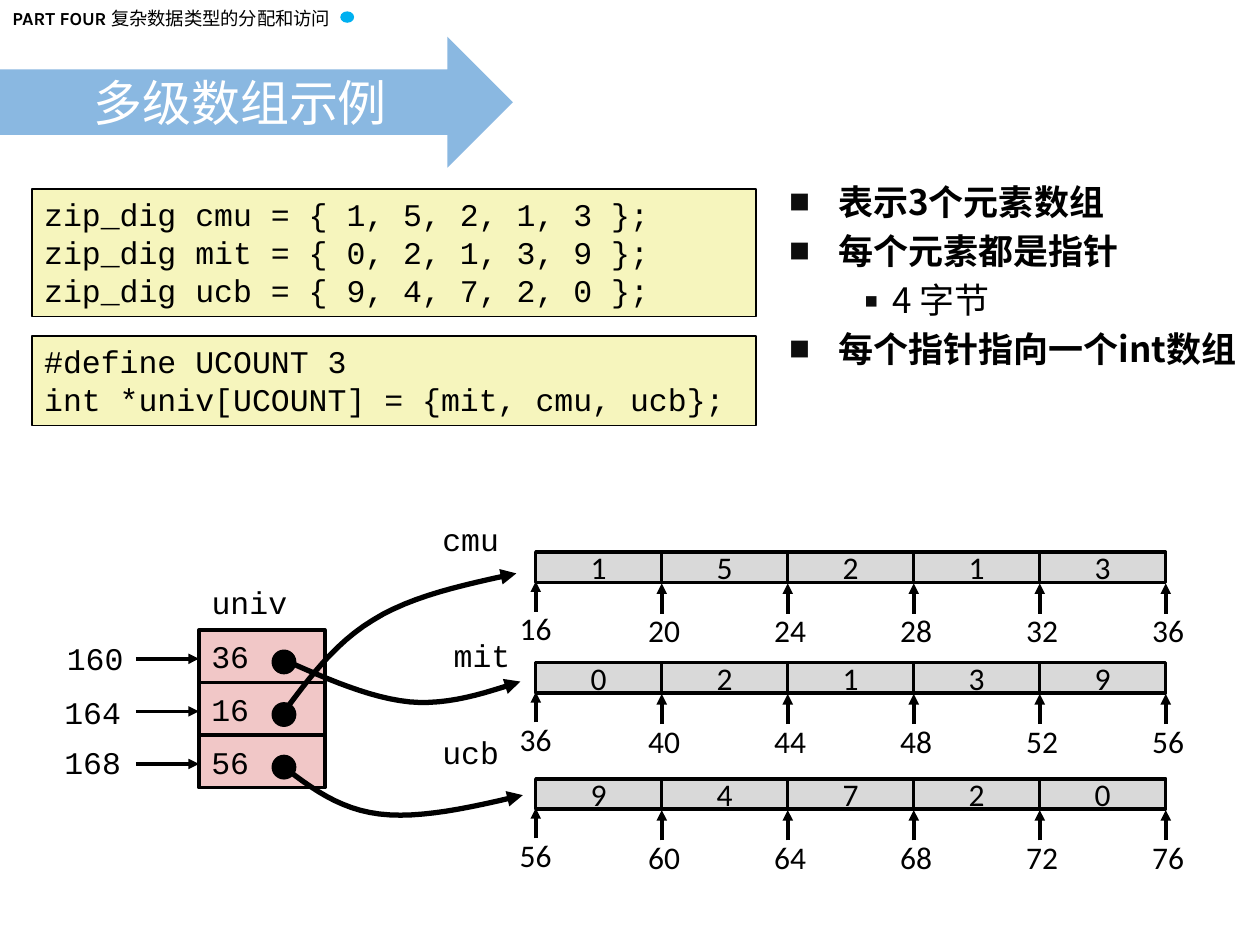
"""Build the slide on multi-level arrays: code, key points and a memory diagram."""
from lxml import etree
from pptx import Presentation
from pptx.dml.color import RGBColor
from pptx.enum.shapes import MSO_CONNECTOR, MSO_SHAPE
from pptx.enum.text import MSO_ANCHOR, MSO_AUTO_SIZE, PP_ALIGN
from pptx.oxml.ns import qn
from pptx.util import Cm, Pt

RECT, OVAL, RIGHT_ARROW = MSO_SHAPE.RECTANGLE, MSO_SHAPE.OVAL, MSO_SHAPE.RIGHT_ARROW
STRAIGHT = MSO_CONNECTOR.STRAIGHT
LEFT, CENTER, RIGHT = PP_ALIGN.LEFT, PP_ALIGN.CENTER, PP_ALIGN.RIGHT
TOP, MIDDLE = MSO_ANCHOR.TOP, MSO_ANCHOR.MIDDLE
NO_FIT = MSO_AUTO_SIZE.NONE

BLACK = RGBColor(0x00, 0x00, 0x00)
WHITE = RGBColor(0xFF, 0xFF, 0xFF)
SKY = RGBColor(0x00, 0xB0, 0xF0)
BLUE = RGBColor(0x5B, 0x9B, 0xD5)
CREAM = RGBColor(0xF6, 0xF5, 0xBD)
PINK = RGBColor(0xF1, 0xC7, 0xC7)
GREY = RGBColor(0xD9, 0xD9, 0xD9)

CJK = "Noto Sans CJK SC"
CODE = {"name": "Courier New", "size": Pt(18)}
DIGIT = {"name": "Calibri", "size": Pt(18)}
HEADER = {"name": "Karla", "size": Pt(10.5), "bold": True}
HEADER_CJK = {"name": CJK, "size": Pt(10.5), "bold": False}
TITLE = {"name": "Karla", "size": Pt(28), "bold": False}
POINT = {"name": CJK, "size": Pt(20), "bold": True}
SUBPOINT = {"name": CJK, "size": Pt(20), "bold": False}


def write(p, text, style, align=LEFT, color=BLACK):
    p.alignment = align
    r = p.add_run()
    r.text = text
    for key, value in style.items():
        setattr(r.font, key, value)
    r.font.color.rgb = color
    etree.SubElement(r.font._element, qn("a:ea"), typeface=CJK)


def add_box(kind, x, y, w, h, fill=None, line=None, wrap=False, anchor=TOP):
    if kind is None:
        sp = s.shapes.add_textbox(Cm(x), Cm(y), Cm(w), Cm(h))
    else:
        sp = s.shapes.add_shape(kind, Cm(x), Cm(y), Cm(w), Cm(h))
        sp.shadow.inherit = False
        sp.fill.solid()
        sp.fill.fore_color.rgb = fill
        if line:
            sp.line.color.rgb = BLACK
            sp.line.width = Pt(line)
        else:
            sp.line.fill.background()
    sp.text_frame.word_wrap = wrap
    sp.text_frame.vertical_anchor = anchor
    return sp


prs = Presentation()
prs.slide_width, prs.slide_height = Cm(25.4), Cm(19.05)
s = prs.slides.add_slide(prs.slide_layouts[1])
arrows = []

p = add_box(None, 0, 0.03, 7.09, 0.71).text_frame.paragraphs[0]
write(p, "PART FOUR ", HEADER)
write(p, "复杂数据类型的分配和访问", HEADER_CJK)
add_box(OVAL, 6.86, 0.23, 0.28, 0.23, SKY)

banner = add_box(RIGHT_ARROW, 0, 0.74, 10.34, 2.64, BLUE)
color = banner.element.spPr.find(".//" + qn("a:srgbClr"))
etree.SubElement(color, qn("a:alpha"), val="71000")

title, body = s.shapes.title, s.placeholders[1]
for sp, x, y, w, h, anchor in [
    (title, 0, 1.4, 9.68, 1.32, MIDDLE),
    (body, 15.67, 3.51, 9.73, 6.35, TOP),
]:
    sp.left, sp.top, sp.width, sp.height = Cm(x), Cm(y), Cm(w), Cm(h)
    sp.text_frame.vertical_anchor = anchor
    sp.text_frame.auto_size = NO_FIT
    s.shapes.element.append(sp.element)
write(title.text_frame.paragraphs[0], "多级数组示例", TITLE, CENTER, WHITE)

tf = body.text_frame
for i, (text, level) in enumerate([
    ("表示3个元素数组", 0),
    ("每个元素都是指针", 0),
    ("4 字节", 1),
    ("每个指针指向一个int数组", 0),
]):
    p = tf.add_paragraph() if i else tf.paragraphs[0]
    p.level = level
    style, char, size, margin, hang = [
        (POINT, "■", 60, 0.97, 0.97), (SUBPOINT, "▪", 110, 2.06, 0.79)][level]
    pPr = p._p.get_or_add_pPr()
    pPr.set("marL", str(Cm(margin)))
    pPr.set("indent", str(-Cm(hang)))
    clr = etree.SubElement(pPr, qn("a:buClr"))
    etree.SubElement(clr, qn("a:srgbClr"), val="0D0D0D")
    etree.SubElement(pPr, qn("a:buSzPct"), val=str(size * 1000))
    etree.SubElement(pPr, qn("a:buFont"), typeface=CJK)
    etree.SubElement(pPr, qn("a:buChar"), char=char)
    p.space_before = Pt(4 if i else 0)
    write(p, text, style)

for y, h, lines in [
    (3.81, 2.57, ["zip_dig cmu = { 1, 5, 2, 1, 3 };",
                  "zip_dig mit = { 0, 2, 1, 3, 9 };",
                  "zip_dig ucb = { 9, 4, 7, 2, 0 };"]),
    (6.78, 1.8, ["#define UCOUNT 3", "int *univ[UCOUNT] = {mit, cmu, ucb};"]),
]:
    tf = add_box(RECT, 0.64, y, 14.6, h, CREAM, 1, True).text_frame
    for i, text in enumerate(lines):
        write(tf.add_paragraph() if i else tf.paragraphs[0], text, CODE)

for i, value in enumerate(["36", "16", "56"]):
    y = 12.7 + 1.06 * i
    sp = add_box(RECT, 4.01, y, 2.54, 1.06, PINK, 2, anchor=MIDDLE)
    write(sp.text_frame.paragraphs[0], value, CODE)
    add_box(OVAL, 5.51, y + 0.43, 0.43, 0.43, BLACK, 2)
    pointer = s.shapes.add_connector(STRAIGHT, Cm(2.74), Cm(y + 0.58), Cm(4.01), Cm(y + 0.58))
    arrows.append((pointer, 2))

for text, x, y, w in [
    ("univ", 4.01, 11.63, 2.03),
    ("160", 1.09, 12.75, 1.65),
    ("164", 1.04, 13.84, 1.65),
    ("168", 1.04, 14.86, 1.65),
    ("cmu", 8.66, 10.36, 1.65),
    ("mit", 8.89, 12.7, 1.65),
    ("ucb", 8.66, 14.66, 1.65),
]:
    write(add_box(None, x, y, w, 1.02).text_frame.paragraphs[0], text, CODE, RIGHT)

for y, start, digits in [(11.13, 16, "15213"), (13.36, 36, "02139"), (15.7, 56, "94720")]:
    for j, digit in enumerate(digits):
        sp = add_box(RECT, 10.8 + 2.54 * j, y, 2.54, 0.61, GREY, 2, anchor=MIDDLE)
        write(sp.text_frame.paragraphs[0], digit, DIGIT, CENTER)
    for j in range(len(digits) + 1):
        x = 10.8 + 2.54 * j
        dx, drop, w = (0.05, 0.04, 2.74) if j else (0, 0, 1.85)
        sp = add_box(None, x + dx - w / 2, y + 1.03 + drop, w, 1.02, wrap=True)
        write(sp.text_frame.paragraphs[0], str(start + 4 * j), DIGIT, CENTER)
        tick = s.shapes.add_connector(
            STRAIGHT, Cm(x), Cm(y + 1.2 + drop), Cm(x), Cm(y + 0.59 + drop))
        arrows.append((tick, 2))

STEPS = 12
for curve in [
    [(5.69, 14.4), (6.22, 13.69), (6.73, 12.98), (7.52, 12.5),
     (8.31, 12.01), (9.35, 11.79), (10.41, 11.56)],
    [(5.74, 13.31), (6.6, 13.69), (7.47, 14.07), (8.26, 14.15),
     (9.04, 14.22), (9.78, 13.97), (10.49, 13.74)],
    [(5.69, 15.44), (6.27, 15.88), (6.83, 16.31), (7.65, 16.41),
     (8.46, 16.51), (9.5, 16.28), (10.54, 16.03)],
]:
    points = []
    for k in (0, 3):
        for n in range(1, STEPS + 1):
            t = n / STEPS
            weights = ((1 - t) ** 3, 3 * t * (1 - t) ** 2, 3 * t * t * (1 - t), t ** 3)
            points.append([Cm(sum(c * pt[axis] for c, pt in zip(weights, curve[k:k + 4])))
                           for axis in (0, 1)])
    builder = s.shapes.build_freeform(Cm(curve[0][0]), Cm(curve[0][1]))
    builder.add_line_segments(points, close=False)
    sp = builder.convert_to_shape()
    sp.fill.background()
    arrows.append((sp, 3))

for arrow, width in arrows:
    arrow.line.color.rgb = BLACK
    arrow.line.width = Pt(width)
    spPr = arrow.element.spPr
    etree.SubElement(spPr.find(qn("a:ln")), qn("a:tailEnd"), type="triangle")
    etree.SubElement(spPr, qn("a:effectLst"))

prs.save("out.pptx")
